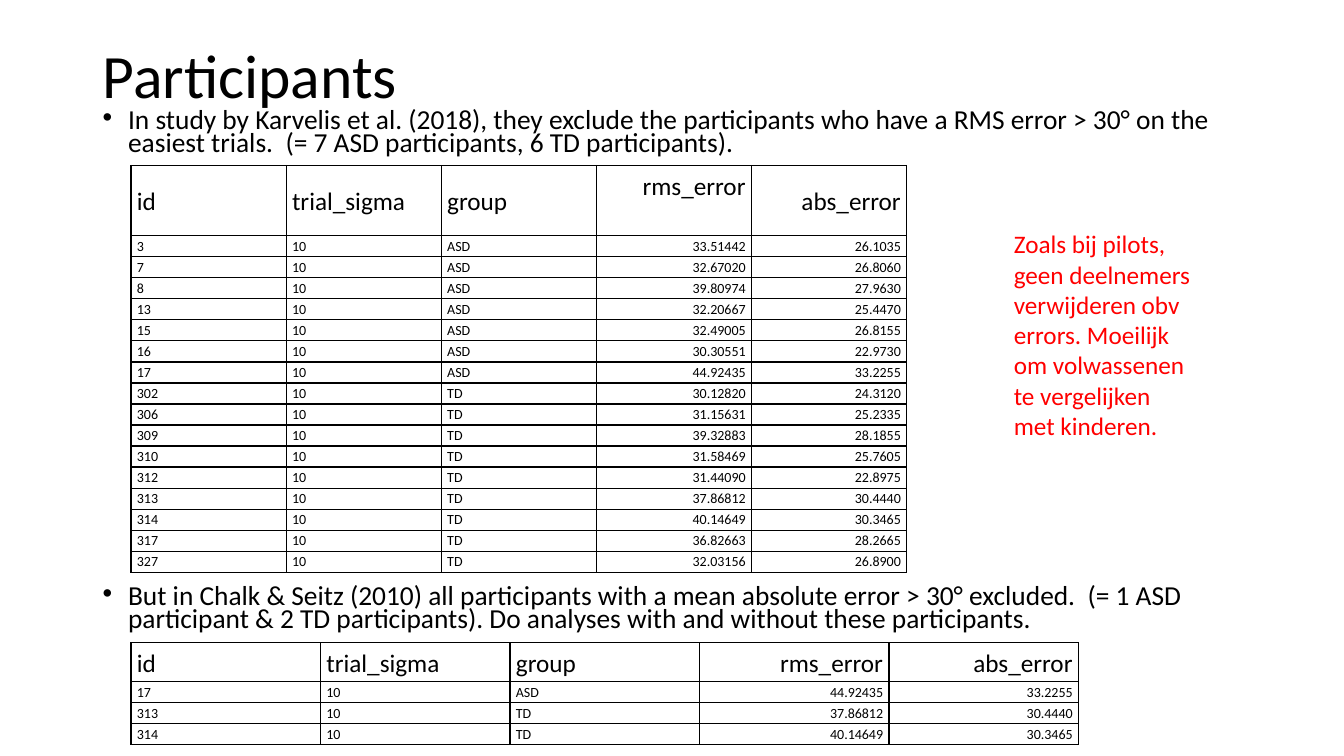
from dataclasses import dataclass

from lxml.etree import SubElement
from pptx import Presentation
from pptx.dml.color import RGBColor
from pptx.enum.text import MSO_ANCHOR as Anchor, PP_ALIGN as Align
from pptx.oxml.ns import qn
from pptx.util import Cm, Pt


@dataclass(frozen=True)
class Theme:
    font: str = "Calibri"
    ink: str = "000000"
    paper: str = "FFFFFF"
    remark: str = "FF0000"
    title_size: float = 44
    body_size: float = 19.6
    head_size: float = 18
    cell_size: float = 10
    border: float = 1


THEME = Theme()
ROW_HEIGHT = 0.53
HEADINGS = ("id", "trial_sigma", "group", "rms_error", "abs_error")
TRIAL_SIGMA = "10"

# id, group, rms_error, abs_error of everyone with an RMS error above 30°
EXCLUDED = [
    ("3", "ASD", "33.51442", "26.1035"),
    ("7", "ASD", "32.67020", "26.8060"),
    ("8", "ASD", "39.80974", "27.9630"),
    ("13", "ASD", "32.20667", "25.4470"),
    ("15", "ASD", "32.49005", "26.8155"),
    ("16", "ASD", "30.30551", "22.9730"),
    ("17", "ASD", "44.92435", "33.2255"),
    ("302", "TD", "30.12820", "24.3120"),
    ("306", "TD", "31.15631", "25.2335"),
    ("309", "TD", "39.32883", "28.1855"),
    ("310", "TD", "31.58469", "25.7605"),
    ("312", "TD", "31.44090", "22.8975"),
    ("313", "TD", "37.86812", "30.4440"),
    ("314", "TD", "40.14649", "30.3465"),
    ("317", "TD", "36.82663", "28.2665"),
    ("327", "TD", "32.03156", "26.8900"),
]

RMS_RULE = ("In study by Karvelis et al. (2018), they exclude the participants who have "
            "a RMS error > 30° on the easiest trials.  (= 7 ASD participants, "
            "6 TD participants).")
ABS_RULE = ("But in Chalk & Seitz (2010) all participants with a mean absolute error "
            "> 30° excluded.  (= 1 ASD participant & 2 TD participants). "
            "Do analyses with and without these participants.")
REMARK = ("Zoals bij pilots, geen deelnemers verwijderen obv errors. "
          "Moeilijk om volwassenen te vergelijken met kinderen.")


def write(para, text, size, color=THEME.ink, align=Align.LEFT, spacing=None,
          before=0, bullet=False):
    span = para.add_run()
    span.text = text
    span.font.name = THEME.font
    span.font.size = Pt(size)
    span.font.color.rgb = RGBColor.from_string(color)
    para.alignment = align
    para.space_before = Pt(before)
    if spacing:
        para.line_spacing = spacing
    if bullet:
        props = para._p.get_or_add_pPr()
        props.set("marL", str(Cm(0.64)))
        props.set("indent", str(-Cm(0.64)))
        SubElement(props, qn("a:buFont"), typeface="Arial")
        SubElement(props, qn("a:buChar"), char="•")


def add_text_frame(page, left, top, width, height, anchor=Anchor.TOP):
    box = page.shapes.add_textbox(Cm(left), Cm(top), Cm(width), Cm(height))
    frame = box.text_frame
    frame.word_wrap = True
    frame.vertical_anchor = anchor
    return frame


def add_borders(cell):
    props = cell._tc.get_or_add_tcPr()
    for side in ("lnL", "lnR", "lnT", "lnB"):
        line = SubElement(props, qn(f"a:{side}"), w=str(Pt(THEME.border)))
        fill = SubElement(line, qn("a:solidFill"))
        SubElement(fill, qn("a:srgbClr"), val=THEME.ink)


def fill_cell(cell, text, column, header):
    add_borders(cell)
    cell.fill.solid()
    cell.fill.fore_color.rgb = RGBColor.from_string(THEME.paper)
    cell.vertical_anchor = Anchor.MIDDLE
    cell.margin_left = cell.margin_right = Cm(0.15)
    cell.margin_top = Cm(0.13 if header else 0.05)
    cell.margin_bottom = Cm(0.08 if header else 0.05)
    write(cell.text_frame.paragraphs[0], text,
          THEME.head_size if header else THEME.cell_size,
          align=Align.RIGHT if column >= 3 else Align.LEFT)


def add_error_table(page, left, top, width, head_height, participants):
    rows = [HEADINGS] + [(who, TRIAL_SIGMA, *rest) for who, *rest in participants]
    height = head_height + ROW_HEIGHT * len(participants)
    table = page.shapes.add_table(len(rows), len(HEADINGS), Cm(left), Cm(top),
                                  Cm(width), Cm(height)).table
    table.first_row = table.horz_banding = False
    for column in table.columns:
        column.width = Cm(width / len(HEADINGS))
    for r, values in enumerate(rows):
        table.rows[r].height = Cm(ROW_HEIGHT if r else head_height)
        for c, value in enumerate(values):
            fill_cell(table.cell(r, c), value, c, header=r == 0)
    return table


def main():
    deck = Presentation()
    deck.slide_width, deck.slide_height = Cm(33.87), Cm(19.05)
    page = deck.slides.add_slide(deck.slide_layouts[6])

    # Title
    title = add_text_frame(page, 2.34, 0.13, 29.21, 3.68, Anchor.MIDDLE)
    write(title.paragraphs[0], "Participants", THEME.title_size, spacing=0.9)

    # Exclusion rules, with room for the first table between them
    body = add_text_frame(page, 2.34, 2.67, 29.21, 13.79)
    write(body.paragraphs[0], RMS_RULE, THEME.body_size, spacing=0.7, bullet=True)
    write(body.add_paragraph(), ABS_RULE, THEME.body_size, spacing=0.7,
          before=307, bullet=True)

    # Tables: all RMS exclusions, then those whose absolute error is above 30°
    rms_table = add_error_table(page, 3.3, 4.17, 19.55, 1.77, EXCLUDED)
    rms_table.cell(0, HEADINGS.index("rms_error")).margin_bottom = Cm(0.8)
    add_error_table(page, 3.3, 16.2, 23.88, 0.98,
                    [row for row in EXCLUDED if float(row[-1]) > 30
                     and row[0] in ("17", "313", "314")])

    # Remark
    remark = add_text_frame(page, 25.3, 5.64, 5.1, 5.64)
    write(remark.paragraphs[0], REMARK, THEME.head_size, THEME.remark)

    deck.save("out.pptx")


if __name__ == "__main__":
    main()
